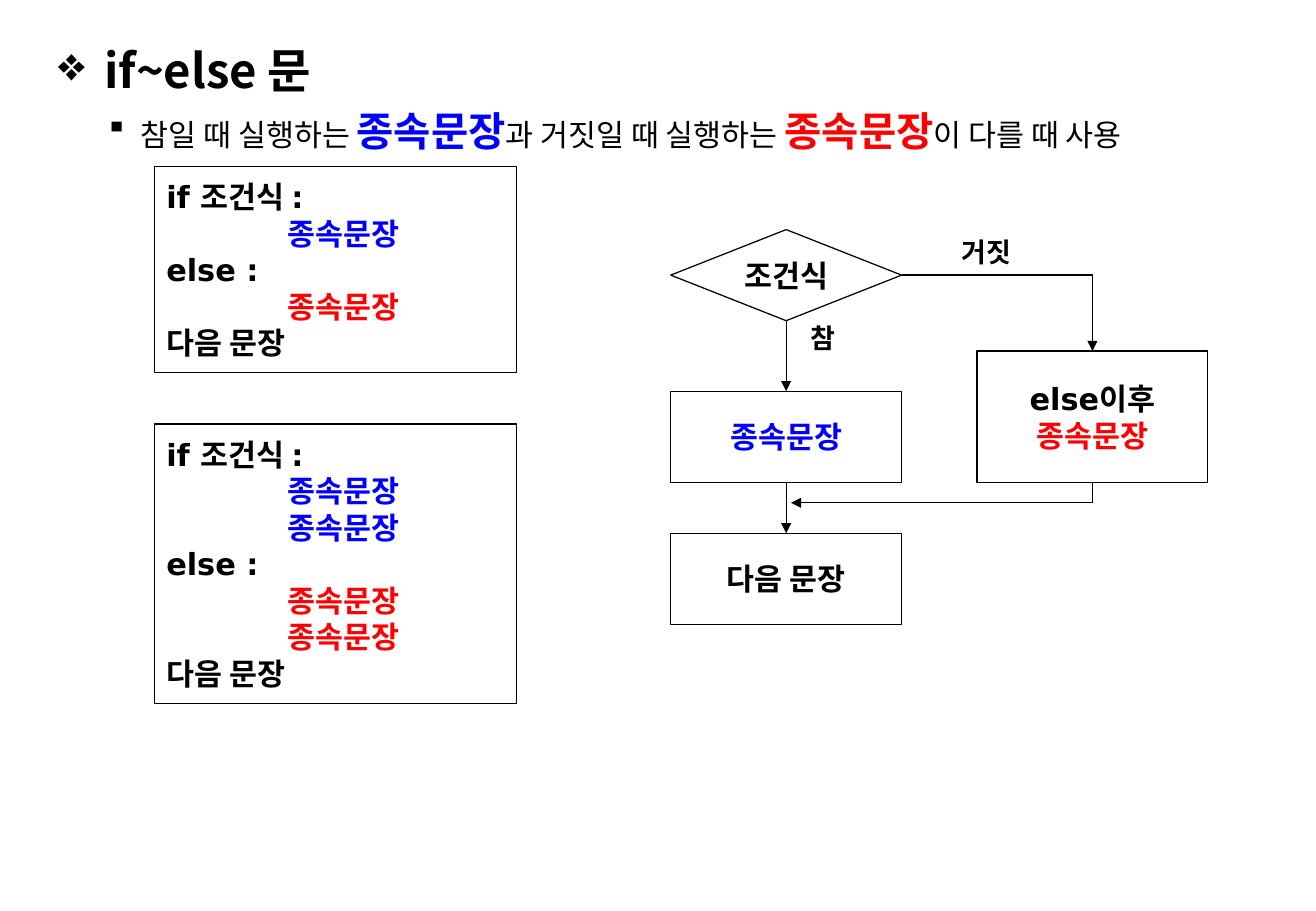
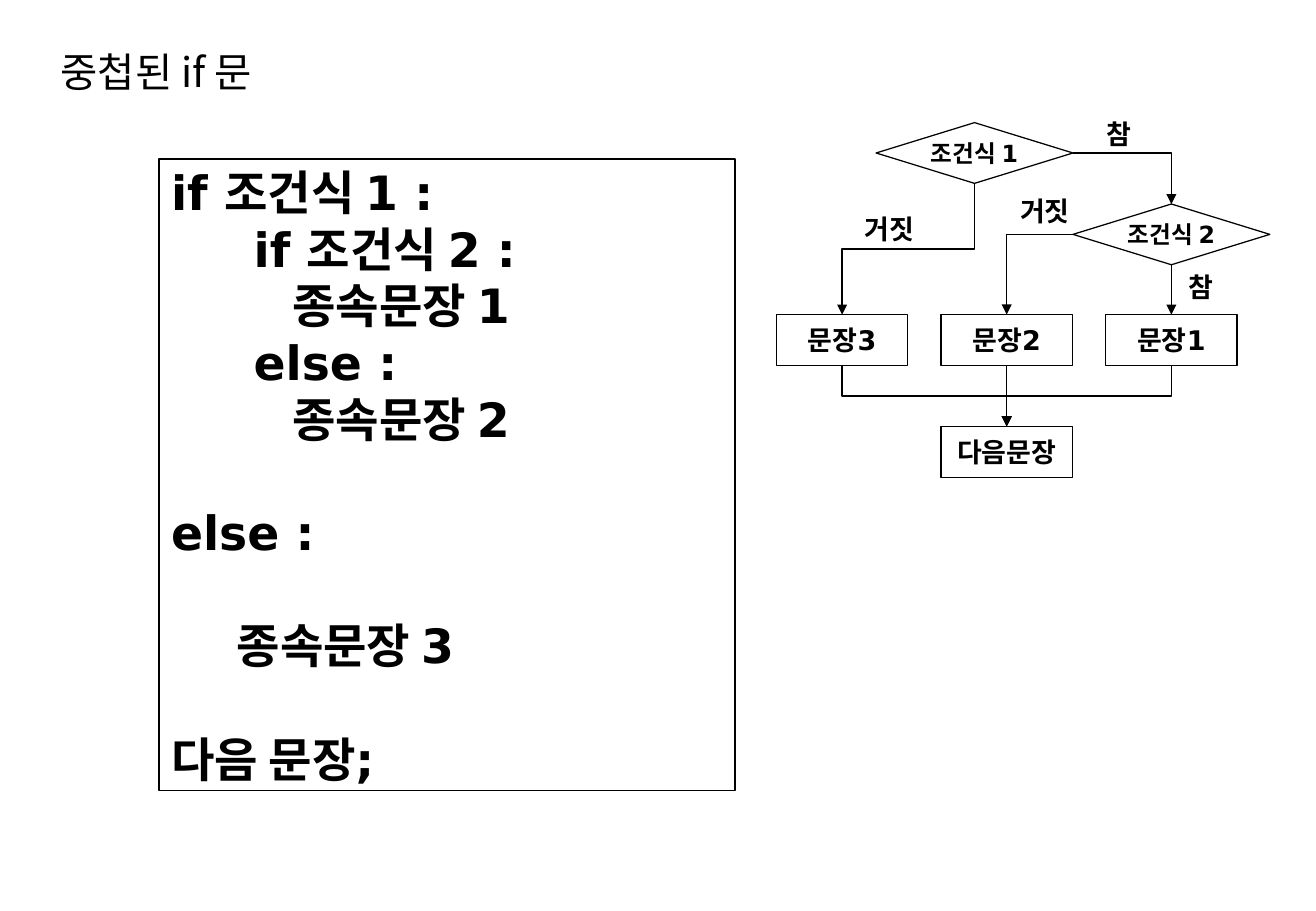
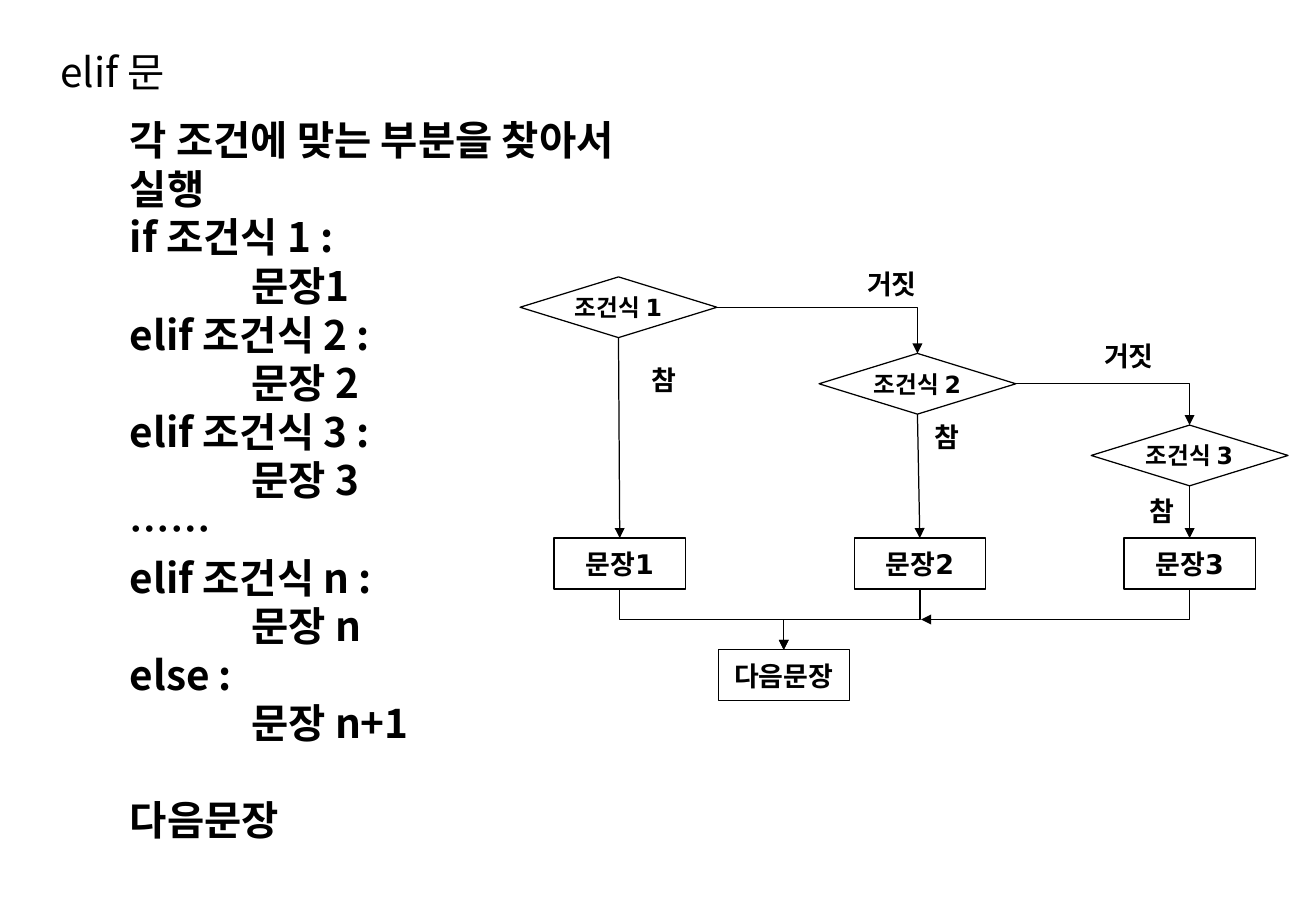
from lxml import etree
from pptx import Presentation
from pptx.dml.color import RGBColor
from pptx.enum import shapes as sh, text as tx
from pptx.oxml import ns
from pptx.util import Inches, Pt

HUES = {"ink": "000000", "blue": "0000FF", "red": "FF0000"}
CODE, BODY = "DejaVu Sans", "Noto Sans CJK KR"
BOX, GEM = sh.MSO_SHAPE.FLOWCHART_PROCESS, sh.MSO_SHAPE.FLOWCHART_DECISION
TOP, LEFT, BASE, RIGHT = range(4)  # connection sites
LEAD = 1.2  # line height per point of text
YES, NO, NEXT = "참", "거짓", "다음문장"
BLUE = dict(hue="blue", face=BODY)
RED = dict(hue="red", face=BODY)


# Text
def color(hue):
    return RGBColor.from_string(HUES[hue])


def style(font, size, bold, hue, face=BODY):
    font.size, font.bold, font.name = Pt(size), bold, face
    font.color.rgb = color(hue)
    etree.SubElement(font._element, ns.qn("a:ea")).set("typeface", BODY)


def write(par, words, size, bold=True, hue="ink", face=CODE, left=0, before=0):
    par.add_run().text = words
    par.line_spacing, par.space_before = Pt(size * LEAD), Pt(before)
    if left:
        par._p.get_or_add_pPr().set("marL", str(Inches(left)))
    style(par.font, size, bold, hue, face)


def fill(frame, lines, size, align=None, **base):
    """Write lines, each a string or a (string, options) pair."""
    for i, line in enumerate(lines):
        words, opts = (line, {}) if isinstance(line, str) else line
        par = frame.add_paragraph() if i else frame.paragraphs[0]
        par.alignment = align
        write(par, words, size, **{**base, **opts})


def area(slide, x, y, w, h, wrap=True):
    frame = slide.shapes.add_textbox(*map(Inches, (x, y, w, h))).text_frame
    frame.word_wrap = wrap
    return frame


def label(slide, words, x, y):
    frame = area(slide, x, y, 0.22 + 0.21 * len(words), 0.37, False)
    fill(frame, [words], 16, tx.PP_ALIGN.CENTER)


def title(slide, words):
    frame = area(slide, 0.4, 0.32, 6.26, 0.54)
    frame.vertical_anchor = tx.MSO_ANCHOR.MIDDLE
    fill(frame, [words], 24, bold=False, face=BODY)


def bullet(par, char, left, hang):
    props = par._p.get_or_add_pPr()
    props.set("marL", str(Inches(left)))
    props.set("indent", str(-Inches(hang)))
    mark = etree.Element(ns.qn("a:buChar"), char=char)
    props.find(ns.qn("a:defRPr")).addprevious(mark)


# Boxes and arrows
def outline(line):
    line.color.rgb, line.width = color("ink"), Pt(0.75)


def arrow(shape):
    outline(shape.line)
    head = etree.SubElement(shape.line._get_or_add_ln(), ns.qn("a:tailEnd"))
    head.set("type", "triangle")


def node(slide, kind, x, y, w, h, lines, size,
         align=tx.PP_ALIGN.CENTER, wrap=False):
    shape = slide.shapes.add_shape(kind, *map(Inches, (x, y, w, h)))
    shape.shadow.inherit = False
    shape.fill.background()
    outline(shape.line)
    frame = shape.text_frame
    frame.word_wrap = wrap
    frame.vertical_anchor = tx.MSO_ANCHOR.MIDDLE
    fill(frame, lines, size, align)
    return shape


def code(slide, kind, x, y, w, h, lines, size):
    node(slide, kind, x, y, w, h, lines, size, tx.PP_ALIGN.LEFT, True)


def test(slide, num, x, y):
    return node(slide, GEM, x, y, 1.62, 0.5, [f"조건식 {num}"], 14)


def step(slide, words, x, y):
    return node(slide, BOX, x, y, 1.08, 0.42, [words], 16)


def link(slide, start, end, out=BASE, bend=None):
    """Join start to the top of end; bend is the count of elbow parts."""
    kind = sh.MSO_CONNECTOR.ELBOW if bend else sh.MSO_CONNECTOR.STRAIGHT
    con = slide.shapes.add_connector(kind, 0, 0, 0, 0)
    con.begin_connect(start, out)
    con.end_connect(end, TOP)
    props = con._element.spPr
    if bend:
        props.find(ns.qn("a:prstGeom")).set("prst", f"bentConnector{bend}")
    if bend and out == BASE:  # leave downward: turn by a quarter
        dx, dy = con.end_x - con.begin_x, con.end_y - con.begin_y
        midx, midy = con.begin_x + dx // 2, con.begin_y + dy // 2
        con.left, con.top = midx - dy // 2, midy - abs(dx) // 2
        con.width, con.height = dy, abs(dx)
        form = props.find(ns.qn("a:xfrm"))
        form.set("rot", "5400000")
        form.set("flipH", "0")
        form.set("flipV", "1" if dx > 0 else "0")
    arrow(con)
    etree.SubElement(props, ns.qn("a:effectLst"))


def merge(slide, start, x, drop):
    """Run down from start, then left to x."""
    mid, low = start.left + start.width // 2, start.top + start.height
    turn = low + Inches(drop)
    path = slide.shapes.build_freeform(mid, low, 1.0)
    path.add_line_segments([(mid, turn), (Inches(x), turn)], close=False)
    shape = path.convert_to_shape()
    shape.shadow.inherit = False
    shape.fill.background()
    arrow(shape)


# Slide 1: if~else
def intro(slide, x, y):
    frame = area(slide, x, y, 10, 1)
    head, note = frame.paragraphs[0], frame.add_paragraph()
    write(head, "if~else 문", 28, face=BODY)
    bullet(head, "❖", 0.38, 0.38)
    write(note, "참일 때 실행하는 ", 24, False, face=BODY, before=5)
    bullet(note, "▪", 0.68, 0.29)
    note.runs[0].font.size = Pt(18)
    for words, size, hue in (("종속문장", 24, "blue"),
                             ("과 거짓일 때 실행하는 ", 18, "ink"),
                             ("종속문장", 24, "red"),
                             ("이 다를 때 사용", 18, "ink")):
        run = note.add_run()
        run.text = words
        style(run.font, size, hue != "ink", hue)


def syntax(slide, x, y, h, count):
    body = [[("종속문장", dict(left=1, **look))] * count for look in (BLUE, RED)]
    lines = ["if 조건식 :", *body[0], "else :", *body[1], "다음 문장"]
    code(slide, BOX, x, y, 2.98, h, lines, 18)


def fork(slide, x, y):
    w, h = 1.9, 0.75
    cond = node(slide, GEM, x, y, w, h, ["조건식"], 18)
    then = node(slide, BOX, x, y + 1.33, w, h, [("종속문장", BLUE)], 18)
    after = node(slide, BOX, x, y + 2.5, w, h, ["다음 문장"], 18)
    other = node(slide, BOX, x + 2.52, y + 1, w, 1.08,
                 ["else이후", ("종속문장", RED)], 18)
    link(slide, cond, then)
    link(slide, then, after)
    link(slide, cond, other, RIGHT, 2)
    merge(slide, other, x + 0.99, 0.17)
    label(slide, NO, x + 2.28, y)
    label(slide, YES, x + 1.04, y + 0.71)


# Slide 2: nested if
def nested(slide, x, y):
    gap = 28 * LEAD
    lines = ["if 조건식 1 :",
             ("if 조건식 2 :", dict(left=0.68)),
             ("종속문장 1", dict(left=1)),
             ("else :", dict(left=0.68)),
             ("종속문장 2", dict(left=1)),
             ("else :", dict(before=gap)),
             ("종속문장 3", dict(left=0.54, before=gap)),
             ("다음 문장;", dict(before=gap))]
    code(slide, sh.MSO_SHAPE.RECTANGLE, x, y, 4.74, 5.2, lines, 28)


def tree(slide, x, y):
    outer = test(slide, 1, x + 0.82, y)
    inner = test(slide, 2, x + 2.44, y + 0.67)
    third, second, first = [step(slide, f"문장{3 - i}", x + 1.355 * i, y + 1.58)
                            for i in range(3)]
    after = step(slide, NEXT, x + 1.355, y + 2.5)
    link(slide, outer, inner, RIGHT, 2)
    link(slide, outer, third, BASE, 3)
    link(slide, inner, second, LEFT, 2)
    link(slide, inner, first)
    link(slide, second, after)
    for side in (third, first):
        link(slide, side, after, BASE, 3)
    for words, dx, dy in ((YES, 2.6, -0.09), (NO, 0.61, 0.69),
                          (NO, 1.89, 0.54), (YES, 3.28, 1.17)):
        label(slide, words, x + dx, y + dy)


# Slide 3: elif
def chain(slide, x, y):
    lines = ["각 조건에 맞는 부분을 찾아서 실행"]
    for head, words in (("if 조건식 1 :", "문장1"),
                        ("elif 조건식 2 :", "문장 2"),
                        ("elif 조건식 3 :", "문장 3"),
                        ("elif 조건식 n :", "문장 n"),
                        ("else :", "문장 n+1")):
        if "n" in head:
            lines.append("……")
        lines += [head, (words, dict(left=1.5))]
    lines.append((NEXT, dict(before=24 * LEAD)))
    fill(area(slide, x, y, 5.17, 6.16), lines, 24, face=BODY, left=0.5)


def stairs(slide, x, y):
    spots = ((0, 0, 0.28), (2.46, 0.63, 2.75), (4.7, 1.22, 4.97))
    tests, steps = [], []
    for num, (dx, dy, sx) in enumerate(spots, 1):
        tests.append(test(slide, num, x + dx, y + dy))
        steps.append(step(slide, f"문장{num}", x + sx, y + 2.15))
        link(slide, tests[-1], steps[-1])
    for now, then in zip(tests, tests[1:]):
        link(slide, now, then, RIGHT, 2)
    after = step(slide, NEXT, x + 1.63, y + 3.07)
    for side in steps[:2]:
        link(slide, side, after, BASE, 3)
    merge(slide, steps[2], x + 3.3, 0.25)
    for words, dx, dy in ((NO, 2.74, -0.13), (YES, 0.97, 0.66),
                          (YES, 5.07, 1.74), (YES, 3.3, 1.13),
                          (NO, 4.69, 0.47)):
        label(slide, words, x + dx, y + dy)


deck = Presentation()
deck.slide_width, deck.slide_height = Inches(10.83), Inches(7.5)
basic, nest, multi = [deck.slides.add_slide(deck.slide_layouts[6])
                      for _ in range(3)]

intro(basic, 0.38, 0.29)
syntax(basic, 1.27, 1.37, 1.7, 1)
syntax(basic, 1.27, 3.49, 2.3, 2)
fork(basic, 5.52, 1.89)

title(nest, "중첩된 if 문")
nested(nest, 1.31, 1.31)
tree(nest, 6.39, 1.01)

title(multi, "elif 문")
chain(multi, 0.47, 0.9)
stairs(multi, 4.28, 2.28)

deck.save("out.pptx")
